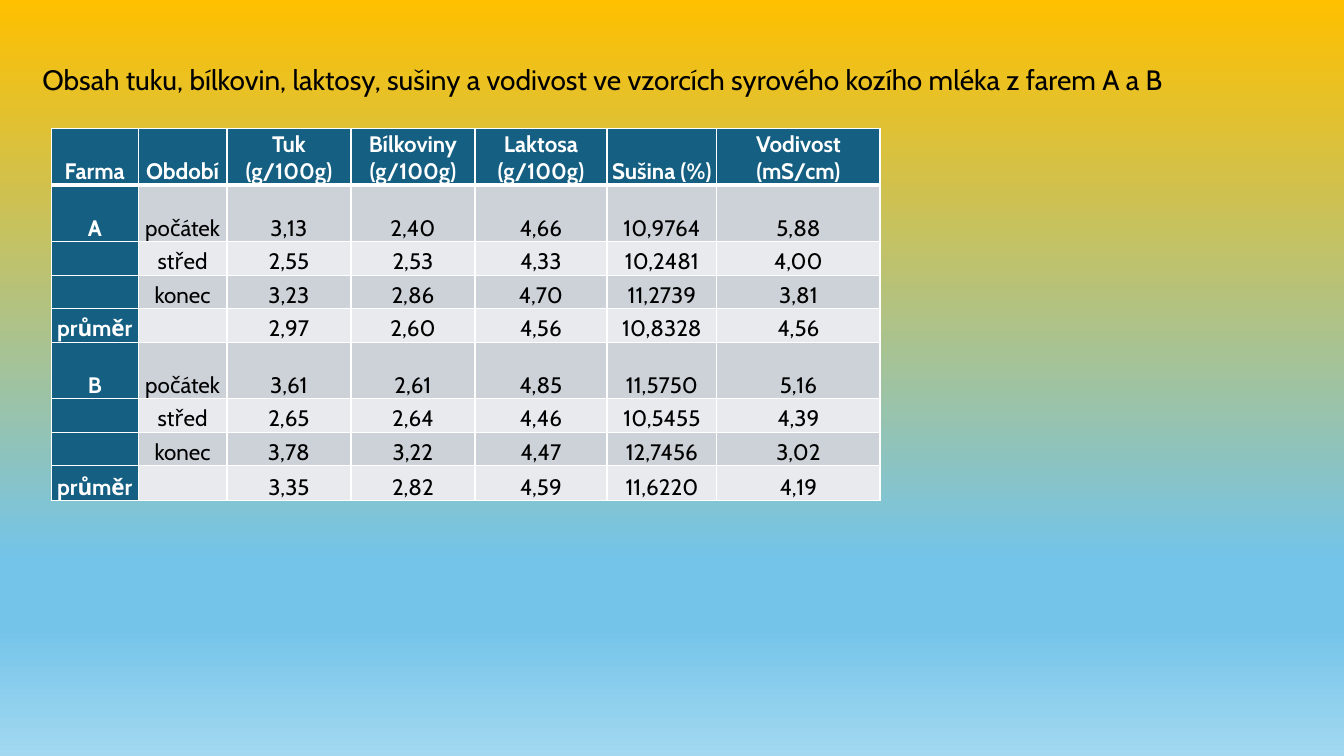
from lxml import etree
from pptx import Presentation
from pptx.dml.color import RGBColor
from pptx.enum.text import MSO_ANCHOR, MSO_AUTO_SIZE, PP_ALIGN
from pptx.oxml.ns import qn
from pptx.util import Pt

TITLE = "Obsah tuku, bílkovin, laktosy, sušiny a vodivost ve vzorcích syrového kozího mléka z farem A a B"
MILK_ROWS = [
    ["Farma", "Období", "Tuk (g/100g)", "Bílkoviny (g/100g)", "Laktosa (g/100g)", "Sušina (%)", "Vodivost (mS/cm)"],
    ["A", "počátek", "3,13", "2,40", "4,66", "10,9764", "5,88"],
    ["", "střed", "2,55", "2,53", "4,33", "10,2481", "4,00"],
    ["", "konec", "3,23", "2,86", "4,70", "11,2739", "3,81"],
    ["průměr", "", "2,97", "2,60", "4,56", "10,8328", "4,56"],
    ["B", "počátek", "3,61", "2,61", "4,85", "11,5750", "5,16"],
    ["", "střed", "2,65", "2,64", "4,46", "10,5455", "4,39"],
    ["", "konec", "3,78", "3,22", "4,47", "12,7456", "3,02"],
    ["průměr", "", "3,35", "2,82", "4,59", "11,6220", "4,19"],
]
COLUMN_WIDTHS = [62, 63.4, 88.6, 88.6, 94.3, 78.5, 116.6]
ROW_HEIGHTS = [40.3, 40.3, 24, 24, 24, 40.3, 24, 24, 25]
BACKGROUND_STOPS = [(0, "FFC000"), (74, "74C4E9"), (83, "74C4E9"), (100, "A2D8F0")]
FONT = "Cabin"
WHITE, BLACK, HEADER_BLUE = "FFFFFF", "000000", "156082"
BANDS = ["E8EAED", "CCD2D8"]
TITLE_ONLY = 5
TOP, BOTTOM = MSO_ANCHOR.TOP, MSO_ANCHOR.BOTTOM
CENTER, JUSTIFY = PP_ALIGN.CENTER, PP_ALIGN.JUSTIFY


def rgb(value):
    return RGBColor.from_string(value)


def write(text_frame, text, size=16, color=BLACK, bold=False, align=CENTER, after=0):
    paragraph = text_frame.paragraphs[0]
    paragraph.alignment = align
    paragraph.space_after = Pt(after)
    run = paragraph.add_run()
    run.text = text
    run.font.name = FONT
    run.font.size = Pt(size)
    run.font.bold = bold
    run.font.color.rgb = rgb(color)


def add_color(parent, color):
    etree.SubElement(parent, qn("a:srgbClr"), val=color)


def set_background(slide):
    fill = slide.background.fill
    fill.gradient()
    fill.gradient_angle = 270
    stop_list = slide.background._cSld.find(".//" + qn("a:gsLst"))
    for stop in list(stop_list):
        stop_list.remove(stop)
    for percent, color in BACKGROUND_STOPS:
        stop = etree.SubElement(stop_list, qn("a:gs"), pos=str(percent * 1000))
        add_color(stop, color)


def set_borders(cell, top, bottom):
    """Draw white borders; the side borders are always 1 pt wide."""
    properties = cell._tc.get_or_add_tcPr()
    sides = [("a:lnL", 1), ("a:lnR", 1), ("a:lnT", top), ("a:lnB", bottom)]
    for position, (tag, width) in enumerate(sides):
        line = etree.Element(qn(tag), w=str(Pt(width)))
        add_color(etree.SubElement(line, qn("a:solidFill")), WHITE)
        properties.insert(position, line)


def add_title(slide):
    title = slide.shapes.title
    title.left, title.top, title.width, title.height = Pt(23), Pt(41), Pt(847), Pt(32)
    frame = title.text_frame
    frame.word_wrap = True
    frame.auto_size = MSO_AUTO_SIZE.SHAPE_TO_FIT_TEXT
    frame.vertical_anchor = TOP
    write(frame, TITLE, size=20, align=JUSTIFY, after=3)


def add_milk_table(slide):
    table = slide.shapes.add_table(
        len(MILK_ROWS), len(COLUMN_WIDTHS), Pt(36.7), Pt(92),
        Pt(sum(COLUMN_WIDTHS)), Pt(sum(ROW_HEIGHTS))).table
    table.horz_banding = False
    for column, width in zip(table.columns, COLUMN_WIDTHS):
        column.width = Pt(width)
    for row, height in zip(table.rows, ROW_HEIGHTS):
        row.height = Pt(height)
    for row_index, values in enumerate(MILK_ROWS):
        for column_index, value in enumerate(values):
            cell = table.cell(row_index, column_index)
            heading = row_index == 0 or column_index == 0
            cell.margin_left = cell.margin_right = Pt(3.4)
            cell.margin_top = cell.margin_bottom = 0
            cell.vertical_anchor = BOTTOM
            cell.fill.solid()
            cell.fill.fore_color.rgb = rgb(HEADER_BLUE if heading else BANDS[row_index % 2])
            set_borders(cell, top=3 if row_index == 1 else 1, bottom=3 if row_index == 0 else 1)
            if value:
                write(cell.text_frame, value, color=WHITE if heading else BLACK, bold=heading)


def main():
    presentation = Presentation()
    presentation.slide_width, presentation.slide_height = Pt(960), Pt(540)
    slide = presentation.slides.add_slide(presentation.slide_layouts[TITLE_ONLY])
    set_background(slide)
    add_milk_table(slide)
    add_title(slide)
    presentation.save("out.pptx")


if __name__ == "__main__":
    main()
